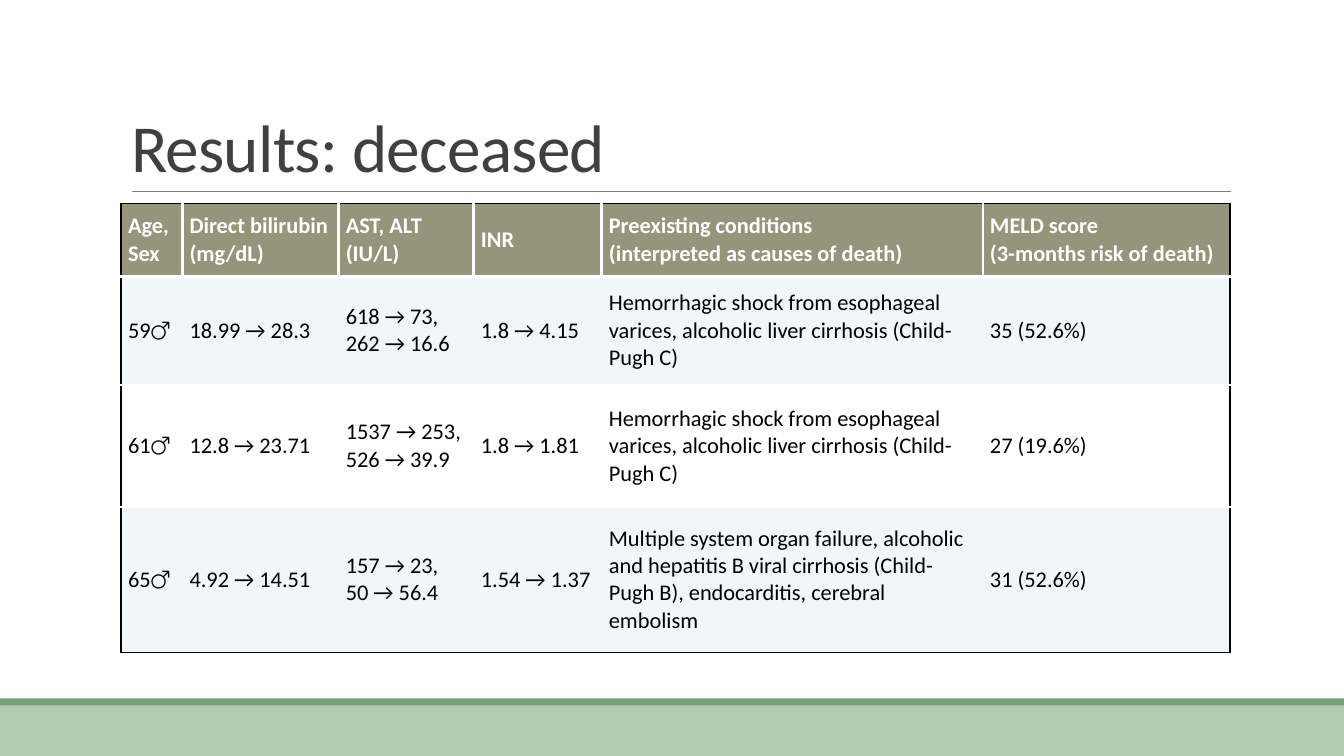
from lxml import etree
from pptx import Presentation
from pptx.dml.color import RGBColor
from pptx.enum import shapes, text
from pptx.oxml.ns import qn
from pptx.util import Inches, Pt

FONT = "Calibri"
INNER_RULE = ("FFFFFF", 2.25)
OUTER_RULE = ("000000", 1)
COLUMN_WIDTHS = [0.61, 1.55, 1.34, 1.27, 3.78, 2.45]
ROW_HEIGHTS = [0.72, 1.08, 1.21, 1.44]
SHOCK = "Hemorrhagic shock from esophageal varices, alcoholic liver cirrhosis (Child-Pugh C)"
ORGAN_FAILURE = ("Multiple system organ failure, alcoholic and hepatitis B viral cirrhosis "
                 "(Child-Pugh B), endocarditis, cerebral embolism")
HEADINGS = [
    ["Age, Sex"],
    ["Direct bilirubin (mg/dL)"],
    ["AST, ALT", "(IU/L)"],
    ["INR"],
    ["Preexisting conditions", "(interpreted as causes of death)"],
    ["MELD score", "(3-months risk of death)"],
]
PATIENTS = [
    [["59♂"], ["18.99 → 28.3"], ["618 → 73,", "262 → 16.6"], ["1.8 → 4.15"], [SHOCK], ["35 (52.6%)"]],
    [["61♂"], ["12.8 → 23.71"], ["1537 → 253,", "526 → 39.9"], ["1.8 → 1.81"], [SHOCK], ["27 (19.6%)"]],
    [["65♂"], ["4.92 → 14.51"], ["157 → 23,", "50 → 56.4"], ["1.54 → 1.37"], [ORGAN_FAILURE], ["31 (52.6%)"]],
]


def rgb(code):
    """Return the colour for a hex string."""
    return RGBColor.from_string(code)


def add_run(paragraph, words, size, color, bold=False):
    """Append one formatted run to a paragraph."""
    run = paragraph.add_run()
    run.text = words
    run.font.name = FONT
    run.font.size = Pt(size)
    run.font.bold = bold
    run.font.color.rgb = rgb(color)
    return run


def add_band(slide, top, height, color):
    """Draw a full-width footer band."""
    band = slide.shapes.add_shape(shapes.MSO_SHAPE.RECTANGLE, 0, Inches(top), Inches(13.33), Inches(height))
    band.shadow.inherit = False
    band.fill.solid()
    band.fill.fore_color.rgb = rgb(color)
    band.line.fill.background()


def add_title_rule(slide):
    """Draw the thin line under the title."""
    rule = slide.shapes.add_connector(
        shapes.MSO_CONNECTOR.STRAIGHT, Inches(1.31), Inches(1.9), Inches(12.21), Inches(1.9))
    rule.line.color.rgb = rgb("808080")
    rule.line.width = Pt(0.5)
    etree.SubElement(rule._element.spPr, qn("a:effectLst"))


def set_title(slide, words):
    """Place and format the title placeholder."""
    title = slide.shapes.title
    title.left, title.top, title.width, title.height = map(Inches, (1.2, 0.31, 11, 1.59))
    frame = title.text_frame
    frame.word_wrap = True
    frame.auto_size = text.MSO_AUTO_SIZE.NONE
    frame.vertical_anchor = text.MSO_ANCHOR.BOTTOM
    paragraph = frame.paragraphs[0]
    paragraph.alignment = text.PP_ALIGN.LEFT
    paragraph.line_spacing = 0.85
    run = add_run(paragraph, words, 48, "404040")
    run.font._element.set("spc", "-50")


def set_borders(cell, rules):
    """Give a cell its left, right, top and bottom borders."""
    properties = cell._tc.get_or_add_tcPr()
    for position, (side, rule) in enumerate(zip("LRTB", rules)):
        border = etree.Element(qn(f"a:ln{side}"))
        if rule:
            color, width = rule
            border.set("w", str(Pt(width)))
            fill = etree.SubElement(border, qn("a:solidFill"))
            etree.SubElement(fill, qn("a:srgbClr"), val=color)
        else:
            border.set("w", "0")
            etree.SubElement(border, qn("a:noFill"))
        properties.insert(position, border)


def fill_cell(cell, lines, fill, color, bold):
    """Write the lines of a cell, with the sex symbol in bold."""
    cell.fill.solid()
    cell.fill.fore_color.rgb = rgb(fill)
    cell.vertical_anchor = text.MSO_ANCHOR.MIDDLE
    cell.margin_left = cell.margin_right = Inches(0.07)
    cell.margin_top = cell.margin_bottom = 0
    frame = cell.text_frame
    for index, line in enumerate(lines):
        paragraph = frame.paragraphs[0] if index == 0 else frame.add_paragraph()
        value, symbol, _ = line.partition("♂")
        add_run(paragraph, value, 16, color, bold)
        if symbol:
            add_run(paragraph, symbol, 16, color, True)


def add_results_table(slide):
    """Build the table of deceased patients."""
    rows = [HEADINGS] + PATIENTS
    last_row, last_column = len(rows) - 1, len(HEADINGS) - 1
    table = slide.shapes.add_table(
        len(rows), len(HEADINGS), Inches(1.2), Inches(2.02), Inches(11), Inches(4.45)).table
    for column, width in zip(table.columns, COLUMN_WIDTHS):
        column.width = Inches(width)
    for row, height in zip(table.rows, ROW_HEIGHTS):
        row.height = Inches(height)
    for r, patient in enumerate(rows):
        heading = r == 0
        fill = "98947C" if heading else "F1F6F8" if r % 2 else "FFFFFF"
        divider = INNER_RULE if heading else None
        for c, lines in enumerate(patient):
            cell = table.cell(r, c)
            fill_cell(cell, lines, fill, "FFFFFF" if heading else "000000", heading)
            set_borders(cell, [
                OUTER_RULE if c == 0 else divider,
                OUTER_RULE if c == last_column else divider,
                OUTER_RULE if heading else INNER_RULE,
                OUTER_RULE if r == last_row else INNER_RULE,
            ])


def main():
    """Build and save the slide."""
    deck = Presentation()
    deck.slide_width, deck.slide_height = Inches(13.33), Inches(7.5)
    slide = deck.slides.add_slide(deck.slide_layouts[5])
    add_band(slide, 7, 0.5, "B0CCB0")
    add_band(slide, 6.93, 0.07, "72A376")
    add_title_rule(slide)
    set_title(slide, "Results: deceased")
    add_results_table(slide)
    deck.save("out.pptx")


if __name__ == "__main__":
    main()
